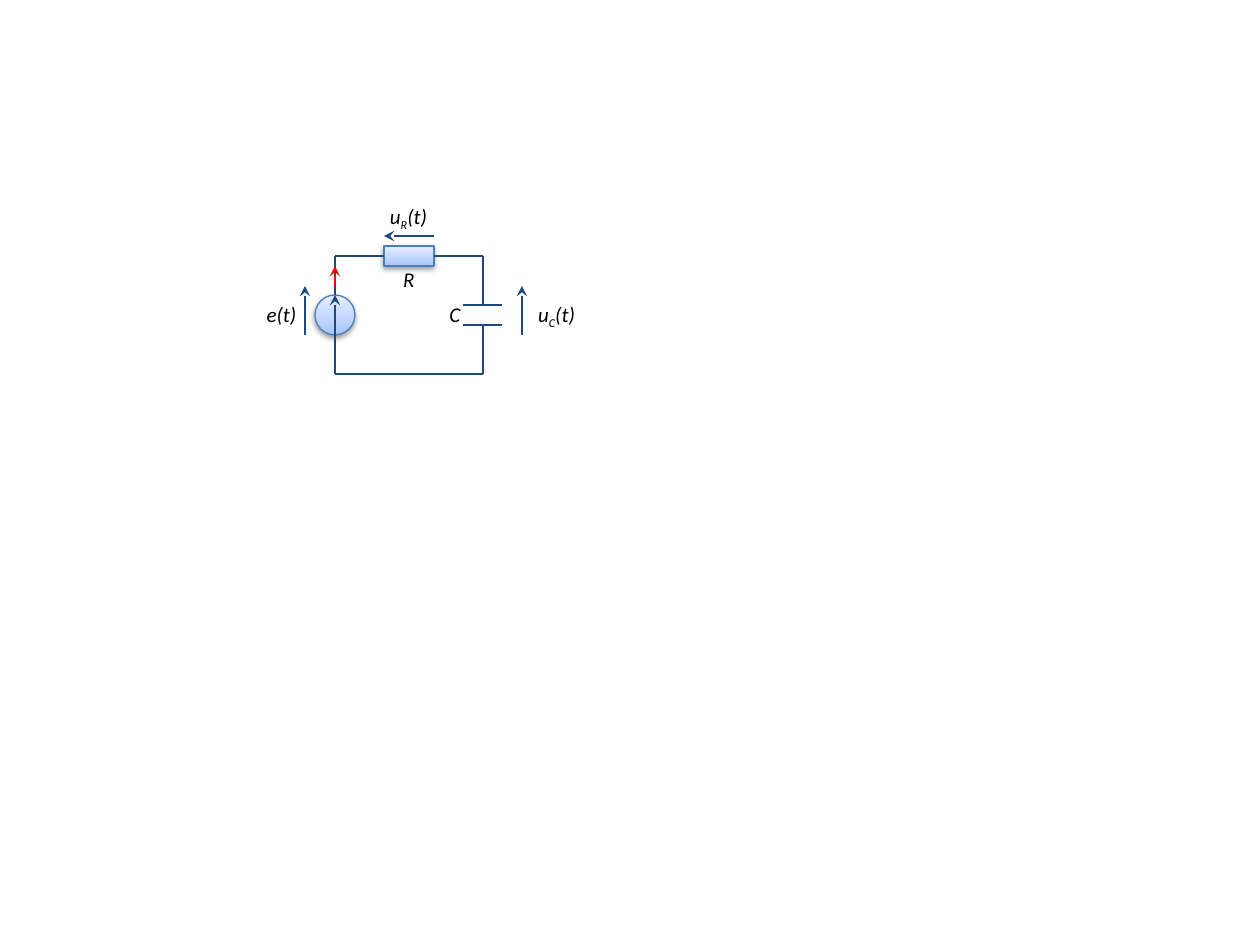
from collections import namedtuple
from copy import deepcopy
from dataclasses import dataclass

from lxml.etree import SubElement
from pptx import Presentation
from pptx.dml.color import RGBColor
from pptx.enum.shapes import MSO_CONNECTOR as Connector, MSO_SHAPE as Shape
from pptx.enum.text import MSO_AUTO_SIZE as AutoSize, PP_ALIGN as Align
from pptx.oxml.ns import qn
from pptx.util import Emu, Pt

EMU_PER_PX = 914400 / 126
Box = namedtuple("Box", "left top width height")


@dataclass(frozen=True)
class Theme:
    font: str = "Calibri"
    text_size: float = 12
    text: str = "000000"
    wire: str = "1F497D"
    current: str = "FF0000"
    outline: str = "4B7EBC"
    wire_width: float = 1.5
    outline_width: float = 0.75
    gradient: tuple = ((0, "A4C4FF"), (0.35, "BFD4FF"), (1, "E6EEFF"))


THEME = Theme()


def px(length):
    return Emu(round(length * EMU_PER_PX))


def rgb(code):
    return RGBColor.from_string(code)


def add_wire(page, start, end, color=THEME.wire, arrow=False):
    wire = page.shapes.add_connector(
        Connector.STRAIGHT, *(px(value) for value in (*start, *end)))
    wire.line.color.rgb = rgb(color)
    wire.line.width = Pt(THEME.wire_width)
    if arrow:
        SubElement(wire.get_or_add_ln(), qn("a:tailEnd"), type="stealth")
    SubElement(wire.element.spPr, qn("a:effectLst"))
    return wire


def add_component(page, kind, box):
    """Add a shape with the gradient, outline and soft shadow of a component."""
    part = page.shapes.add_shape(kind, *(px(value) for value in box))
    part.fill.gradient()
    part.fill.gradient_angle = 90
    stop_list = part.element.spPr.find(".//" + qn("a:gsLst"))
    stop_list.append(deepcopy(stop_list[-1]))
    for stop, (position, color) in zip(part.fill.gradient_stops, THEME.gradient):
        stop.position = position
        stop.color.rgb = rgb(color)
    part.line.color.rgb = rgb(THEME.outline)
    part.line.width = Pt(THEME.outline_width)
    part.shadow.inherit = False
    shadow = SubElement(
        part.element.spPr.find(qn("a:effectLst")), qn("a:outerShdw"),
        blurRad=str(Pt(3.1)), dist=str(Pt(1.6)), dir="5400000", rotWithShape="0")
    shade = SubElement(shadow, qn("a:srgbClr"), val="000000")
    SubElement(shade, qn("a:alpha"), val="38000")
    return part


def add_label(page, box, symbol, subscript="", argument=""):
    label = page.shapes.add_textbox(*(px(value) for value in box))
    frame = label.text_frame
    frame.word_wrap = True
    frame.auto_size = AutoSize.SHAPE_TO_FIT_TEXT
    para = frame.paragraphs[0]
    para.alignment = Align.CENTER
    for text in filter(None, (symbol, subscript, argument)):
        span = para.add_run()
        span.text = text
        span.font.name = THEME.font
        span.font.size = Pt(THEME.text_size)
        span.font.italic = True
        span.font.color.rgb = rgb(THEME.text)
        if text == subscript:
            span._r.get_or_add_rPr().set("baseline", "-25000")


def draw_source(page, box):
    """Draw the left branch: source, current arrow and e(t)."""
    x, middle, bottom = box.left, box.top + box.height / 2, box.top + box.height
    radius = 20
    add_component(page, Shape.OVAL,
                  Box(x - radius, middle - radius, 2 * radius, 2 * radius))
    add_wire(page, (x, middle + radius), (x, middle - radius), arrow=True)
    add_wire(page, (x, bottom), (x, middle + radius))
    add_wire(page, (x, middle - radius), (x, box.top))
    add_wire(page, (x, box.top + 30), (x, box.top + 10), THEME.current, arrow=True)
    add_wire(page, (x - 30, middle + 20), (x - 30, middle - 29), arrow=True)
    add_label(page, Box(x - 88, middle - 20, 69, 38), "e(t)")


def draw_resistor(page, box):
    """Draw the top branch: resistor R and its voltage."""
    center, right, y = box.left + box.width / 2, box.left + box.width, box.top
    half = 25
    resistor = add_component(page, Shape.RECTANGLE,
                             Box(center - half, y - 10, 2 * half, 20))
    for corner, edge, side in ((box.left, center - half, 1), (right, center + half, 3)):
        wire = add_wire(page, (corner, y), (edge, y))
        wire.end_connect(resistor, side)
    add_wire(page, (center + half, y - 20), (center - half, y - 20), arrow=True)
    add_label(page, Box(center - half, y + 4, 2 * half, 38), "R")
    add_label(page, Box(center - 35, y - 59, 69, 38), "u", "R", "(t)")


def draw_capacitor(page, box):
    """Draw the right branch: capacitor C and its voltage."""
    x, middle = box.left + box.width, box.top + box.height / 2
    for corner, plate in ((box.top, middle - 10), (box.top + box.height, middle + 10)):
        add_wire(page, (x, corner), (x, plate))
        add_wire(page, (x + 19, plate), (x - 20, plate))
    add_wire(page, (x + 39, middle + 20), (x + 39, middle - 29), arrow=True)
    add_label(page, Box(x - 53, middle - 20, 50, 38), "C")
    add_label(page, Box(x + 39, middle - 20, 69, 38), "u", "C", "(t)")


def draw_circuit(page, box):
    bottom = box.top + box.height
    draw_source(page, box)
    add_wire(page, (box.left + box.width, bottom), (box.left, bottom))
    draw_resistor(page, box)
    draw_capacitor(page, box)


def main():
    deck = Presentation()
    deck.slide_width, deck.slide_height = px(1260), px(945)
    page = deck.slides.add_slide(deck.slide_layouts[6])
    draw_circuit(page, Box(335, 256, 148, 118))
    deck.save("out.pptx")


if __name__ == "__main__":
    main()
